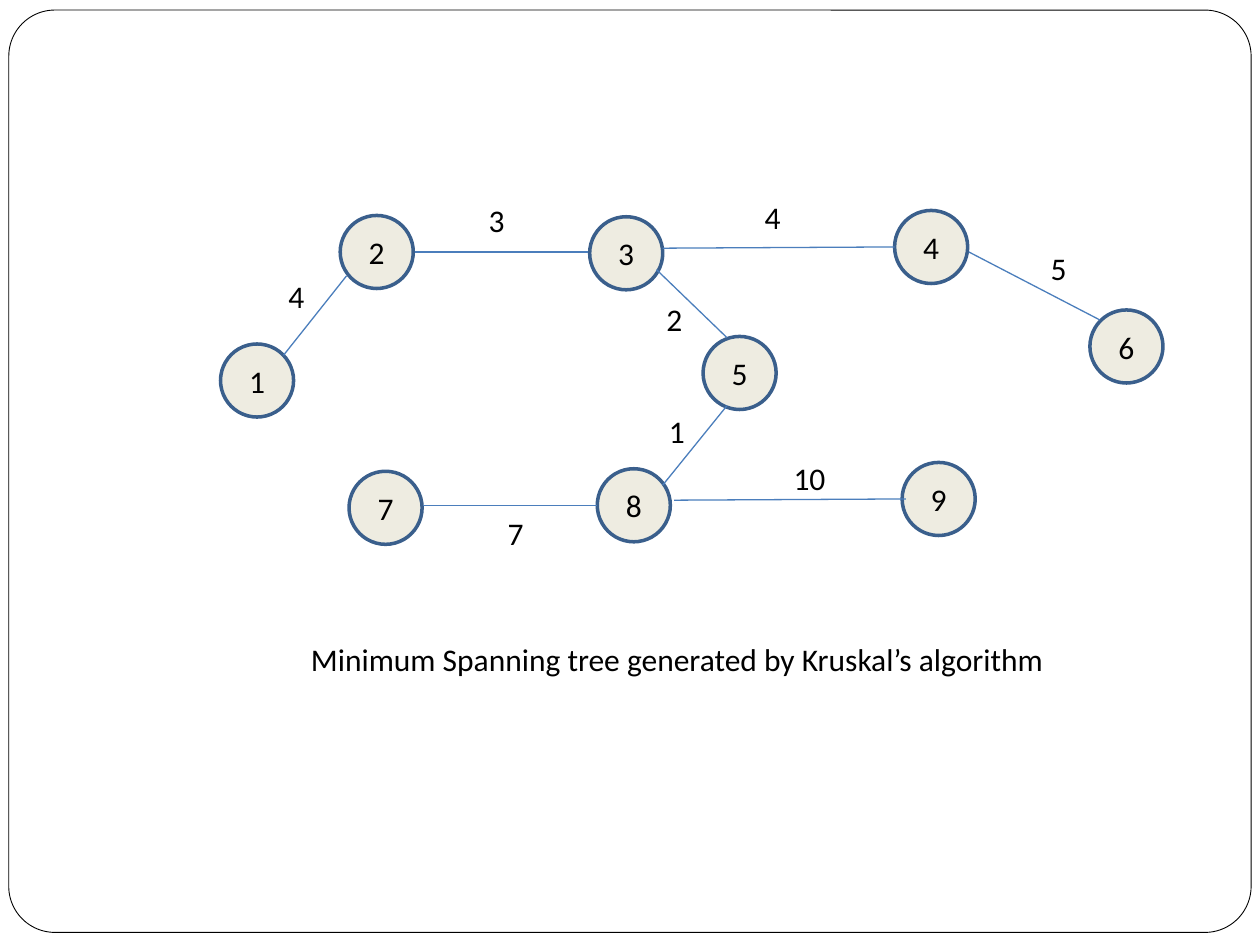
from dataclasses import dataclass

from lxml.etree import SubElement
from pptx import Presentation
from pptx.dml.color import RGBColor
from pptx.enum.shapes import MSO_CONNECTOR, MSO_SHAPE
from pptx.enum.text import MSO_ANCHOR, MSO_AUTO_SIZE, PP_ALIGN
from pptx.oxml.ns import qn
from pptx.util import Inches, Pt


@dataclass(frozen=True)
class Theme:
    font: str = "Calibri"
    text_size: float = 18
    text: RGBColor = RGBColor(0x00, 0x00, 0x00)
    frame: RGBColor = RGBColor(0x00, 0x00, 0x00)
    node_fill: RGBColor = RGBColor(0xEE, 0xEC, 0xE1)
    node_line: RGBColor = RGBColor(0x3A, 0x5F, 0x8C)
    edge: RGBColor = RGBColor(0x4B, 0x7E, 0xBC)


THEME = Theme()
NODE_SIZE = 0.58
LABEL_HEIGHT = 0.4

# Node number: left, top
NODES = {
    1: (1.75, 2.73),
    2: (2.7, 1.71),
    3: (4.68, 1.72),
    4: (7.1, 1.67),
    5: (5.58, 2.67),
    6: (8.65, 2.46),
    7: (2.77, 3.74),
    8: (4.74, 3.72),
    9: (7.16, 3.67),
}

# Weight, line start, line end, label left and top, label width
EDGES = [
    (4, (2.25, 2.82), (2.75, 2.19), (2.19, 2.15), 0.31),
    (3, (3.29, 2), (4.67, 2), (3.78, 1.55), 0.31),
    (4, (5.26, 1.97), (7.1, 1.96), (5.97, 1.52), 0.31),
    (2, (5.77, 2.68), (5.21, 2.14), (5.19, 2.33), 0.31),
    (5, (7.69, 2), (8.73, 2.54), (8.24, 1.93), 0.31),
    (1, (5.26, 3.85), (5.77, 3.22), (5.21, 3.22), 0.31),
    (7, (3.36, 4.01), (4.74, 4.01), (3.93, 4.03), 0.31),
    (10, (5.35, 3.97), (7.19, 3.96), (6.2, 3.59), 0.5),
]


def apply_format(target, values):
    for name, value in values.items():
        setattr(target, name, value)


def write_text(box, text, align):
    para = box.text_frame.paragraphs[0]
    para.alignment = align
    span = para.add_run()
    span.text = text
    apply_format(span.font, {"name": THEME.font, "size": Pt(THEME.text_size)})
    span.font.color.rgb = THEME.text


def set_line(shape, color, width):
    shape.line.color.rgb = color
    shape.line.width = Pt(width)


def add_frame(page):
    frame = page.shapes.add_shape(
        MSO_SHAPE.ROUNDED_RECTANGLE,
        Inches(0.07), Inches(0.08), Inches(9.86), Inches(7.32))
    frame.adjustments[0] = 0.05
    frame.shadow.inherit = False
    frame.fill.background()
    set_line(frame, THEME.frame, 0.5)


def add_node(page, number, left, top):
    node = page.shapes.add_shape(
        MSO_SHAPE.OVAL,
        Inches(left), Inches(top), Inches(NODE_SIZE), Inches(NODE_SIZE))
    node.shadow.inherit = False
    node.fill.solid()
    node.fill.fore_color.rgb = THEME.node_fill
    set_line(node, THEME.node_line, 2)
    node.text_frame.vertical_anchor = MSO_ANCHOR.MIDDLE
    write_text(node, str(number), PP_ALIGN.CENTER)


def add_edge(page, start, end):
    edge = page.shapes.add_connector(
        MSO_CONNECTOR.STRAIGHT, *(Inches(value) for value in start + end))
    set_line(edge, THEME.edge, 0.75)
    SubElement(edge.element.spPr, qn("a:effectLst"))


def add_label(page, text, left, top, width):
    box = page.shapes.add_textbox(
        Inches(left), Inches(top), Inches(width), Inches(LABEL_HEIGHT))
    apply_format(box.text_frame, {
        "word_wrap": True,
        "auto_size": MSO_AUTO_SIZE.SHAPE_TO_FIT_TEXT,
    })
    write_text(box, text, PP_ALIGN.LEFT)


def main():
    deck = Presentation()
    apply_format(deck, {"slide_width": Inches(10), "slide_height": Inches(7.5)})
    page = deck.slides.add_slide(deck.slide_layouts[6])

    add_frame(page)

    # Spanning tree
    for number, (left, top) in NODES.items():
        add_node(page, number, left, top)
    for weight, start, end, (left, top), width in EDGES:
        add_edge(page, start, end)
        add_label(page, str(weight), left, top, width)

    # Caption
    add_label(page, "Minimum Spanning tree generated by Kruskal’s algorithm",
              2.37, 5.03, 7.33)

    deck.save("out.pptx")


if __name__ == "__main__":
    main()
